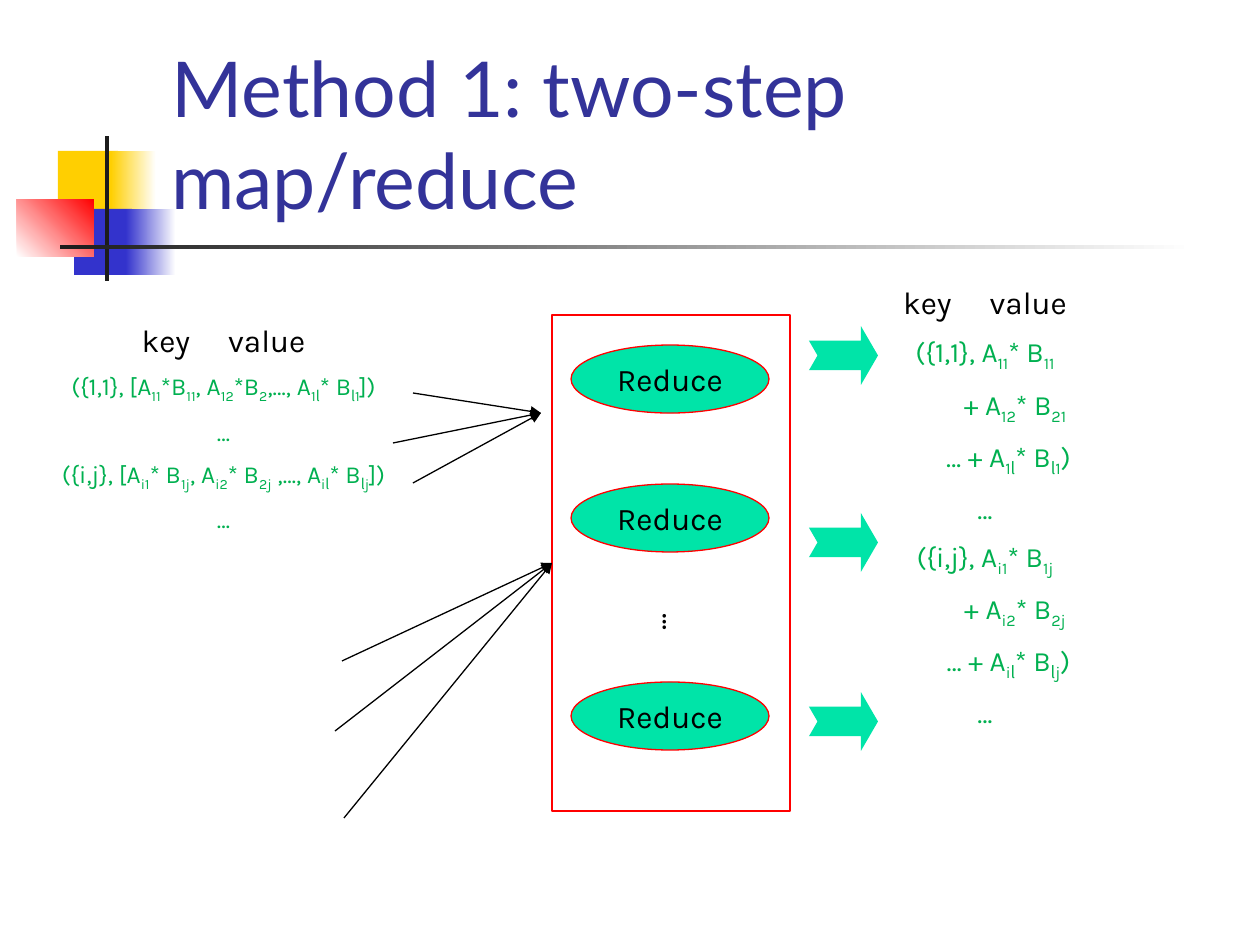
from dataclasses import dataclass
from itertools import groupby

from lxml import etree
from pptx import Presentation
from pptx.dml.color import RGBColor
from pptx.enum.shapes import MSO_CONNECTOR, MSO_SHAPE
from pptx.enum.text import MSO_ANCHOR, PP_ALIGN
from pptx.oxml.ns import qn
from pptx.util import Emu, Pt

RECT, OVAL = MSO_SHAPE.RECTANGLE, MSO_SHAPE.OVAL
ARROW = MSO_SHAPE.NOTCHED_RIGHT_ARROW
STRAIGHT = MSO_CONNECTOR.STRAIGHT
CENTER, LEFT = PP_ALIGN.CENTER, PP_ALIGN.LEFT
TOP, MIDDLE, BOTTOM = MSO_ANCHOR.TOP, MSO_ANCHOR.MIDDLE, MSO_ANCHOR.BOTTOM
LEFT_SIDE = 1
SCALE = 914400 / 126


@dataclass(frozen=True)
class Theme:
    title: str = "333399"
    text: str = "000000"
    formula: str = "00B050"
    mint: str = "00E4A8"
    red: str = "FF0000"
    yellow: str = "FFCF01"
    blue: str = "3333CC"
    dark: str = "1C1C1C"
    white: str = "FFFFFF"
    title_font: str = "Lato"
    body_font: str = "Karla"
    script_font: str = "Noto Sans CJK KR"
    title_size: int = 44
    label_size: int = 18
    result_size: int = 16
    input_size: int = 14
    line: float = 0.75
    header_gap: int = 1740


T = Theme()


def px(n):
    return Emu(round(n * SCALE))


def rgb(color):
    return RGBColor.from_string(color)


def style_run(r, size, color, font):
    r.font.size, r.font.name = Pt(size), font
    r.font.color.rgb = rgb(color)


def add_shape(s, kind, x, y, w, h, fill=None, line=None):
    sp = s.shapes.add_shape(kind, px(x), px(y), px(w), px(h))
    sp.shadow.inherit = False
    if fill is None:
        sp.fill.background()
    elif isinstance(fill, tuple):
        *colors, angle = fill
        sp.fill.gradient()
        sp.fill.gradient_angle = angle
        for stop, color in zip(sp.fill.gradient_stops, colors):
            stop.color.rgb = rgb(color)
    else:
        sp.fill.solid()
        sp.fill.fore_color.rgb = rgb(fill)
    if line:
        sp.line.color.rgb = rgb(line)
        sp.line.width = Pt(T.line)
    else:
        sp.line.fill.background()
    return sp


def add_text_box(s, x, y, w, h):
    sp = s.shapes.add_textbox(px(x), px(y), px(w), px(h))
    sp.text_frame.word_wrap = True
    return sp


def set_label(sp, text, size, color, font, align=CENTER, anchor=TOP):
    tf = sp.text_frame
    tf.text = text
    tf.vertical_anchor = anchor
    p = tf.paragraphs[0]
    p.alignment = align
    style_run(p.runs[0], size, color, font)


def add_formula(p, markup, size):
    for i, part in enumerate(markup.split("_")):
        for is_l, chars in groupby(part, lambda c: i % 2 and c == "l"):
            r = p.add_run()
            r.text = "".join(chars)
            style_run(r, size, T.formula, T.script_font if is_l else T.body_font)
            if i % 2:
                r.font._element.set("baseline", "-25000")


def key_value_list(s, x, y, w, h, lines, size):
    tf = add_text_box(s, x, y, w, h).text_frame
    p = tf.paragraphs[0]
    p.alignment = CENTER
    for word in ("key", " ", "value"):
        r = p.add_run()
        r.text = word
        style_run(r, T.label_size, T.text, T.body_font)
        if word == " ":
            r.font._element.set("spc", str(T.header_gap))
    for markup, indent in lines:
        p = tf.add_paragraph()
        p.alignment = CENTER
        p.space_before = Pt(size / 2)
        if indent:
            p._p.get_or_add_pPr().set("marL", str(px(indent)))
        add_formula(p, markup, size)


def add_arrow_line(s, start, end, target=None):
    c = s.shapes.add_connector(STRAIGHT, *map(px, start + end))
    if target is not None:
        c.end_connect(target, LEFT_SIDE)
    c.line.color.rgb = rgb(T.text)
    c.line.width = Pt(T.line)
    etree.SubElement(c.line._get_or_add_ln(), qn("a:tailEnd"), type="triangle")
    etree.SubElement(c._element.spPr, qn("a:effectLst"))


def ornament(s, x, y):
    for dx, dy, w, h, fill in (
        (41, 15, 60, 66, T.yellow),
        (94, 15, 45, 66, (T.yellow, T.white, 0)),
        (57, 73, 58, 66, T.blue),
        (109, 73, 50, 66, (T.blue, T.white, 0)),
        (0, 63, 77, 58, (T.white, T.red, 45)),
        (88, 0, 4, 145, T.dark),
        (43, 109, 1134, 4, (T.dark, T.white, 0)),
    ):
        add_shape(s, RECT, x + dx, y + dy, w, h, fill)


def title(s, x, y, w, h):
    sp = add_text_box(s, x, y, w, h)
    set_label(sp, "Method 1: two-step map/reduce", T.title_size, T.title,
              T.title_font, LEFT, BOTTOM)


def reducers(s, x, y, w, h):
    for dy in (30, 169, 367):
        sp = add_shape(s, OVAL, x + 19, y + dy, w - 40, 68, T.mint, T.red)
        set_label(sp, "Reduce", T.label_size, T.text, T.body_font, anchor=MIDDLE)
    dots = add_text_box(s, x + 84, y + 282, 79, 50)
    dots.rotation = 90
    set_label(dots, "…", T.label_size, T.text, T.body_font)
    for dy in (11, 198, 377):
        sp = add_shape(s, ARROW, x + w + 19, y + dy, 69, 59, T.mint)
        sp.adjustments[0], sp.adjustments[1] = 0.5, 0.29
    return add_shape(s, RECT, x, y, w, h, line=T.red)


def feeds(s, x, y, frame):
    for dx, dy in ((78, 0), (58, 50), (78, 90)):
        add_arrow_line(s, (x + dx, y + dy), (x + 206, y + 20))
    for dx, dy in ((7, 268), (9, 425), (0, 338)):
        add_arrow_line(s, (x + dx, y + dy), (x + 217, y + 170), frame)


def result_lines(key, row, col):
    return [
        (f"({{{key}}}, A_{row}1_* B_1{col}_", 0),
        (f"+ A_{row}2_* B_2{col}_", 60),
        (f"… + A_{row}l_* B_l{col}_)", 47),
        ("…", 0),
    ]


def main():
    prs = Presentation()
    prs.slide_width, prs.slide_height = px(1260), px(945)
    s = prs.slides.add_slide(prs.slide_layouts[6])
    ornament(s, 17, 136)
    title(s, 159, 29, 1074, 202)
    frame = reducers(s, 552, 315, 238, 496)
    feeds(s, 335, 393, frame)
    results = result_lines("1,1", "1", "1") + result_lines("i,j", "i", "j")
    key_value_list(s, 829, 277, 312, 509, results, T.result_size)
    inputs = [
        ("({1,1}, [A_11_*B_11_, A_12_*B_2_,…, A_1l_* B_l1_])", 0),
        ("…", 0),
        ("({i,j}, [A_i1_* B_1j_, A_i2_* B_2j_ ,…, A_il_* B_lj_])", 0),
        ("…", 0),
    ]
    key_value_list(s, 13, 315, 421, 330, inputs, T.input_size)
    prs.save("out.pptx")


if __name__ == "__main__":
    main()
